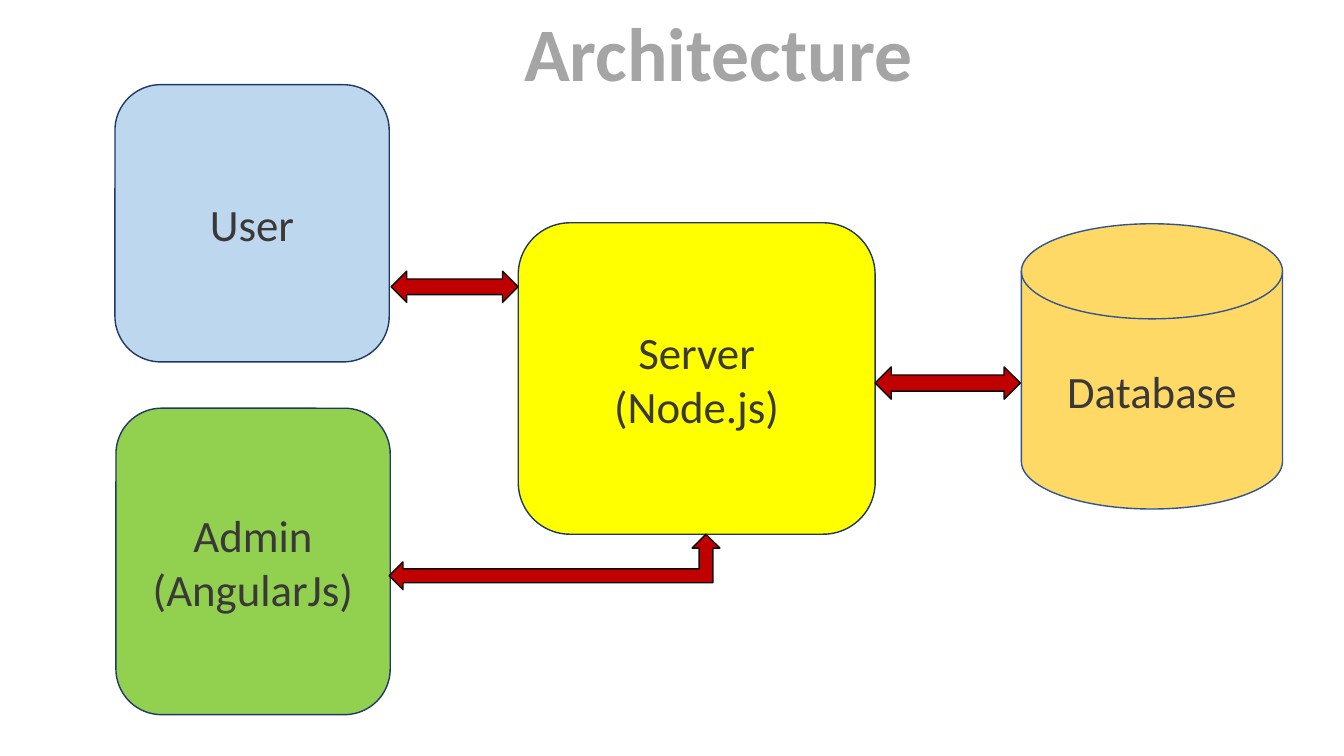
import pptx
import pptx.dml.color
import pptx.enum.shapes
import pptx.enum.text
import pptx.util

Inches = pptx.util.Inches
SHAPES = pptx.enum.shapes.MSO_SHAPE

COLORS = {
    "title": "A5A5A5",
    "text": "3B3838",
    "user": "BDD7EE",
    "admin": "92D050",
    "server": "FFFF00",
    "database": "FFD966",
    "box line": "203864",
    "database line": "325491",
    "arrow": "C00000",
    "arrow line": "0D0D0D",
}


def add_filled_shape(kind, bounds, fill, line):
    shape = slide.shapes.add_shape(kind, *map(Inches, bounds))
    shape.shadow.inherit = False
    shape.fill.solid()
    shape.fill.fore_color.rgb = pptx.dml.color.RGBColor.from_string(COLORS[fill])
    shape.line.color.rgb = pptx.dml.color.RGBColor.from_string(COLORS[line])
    shape.line.width = pptx.util.Pt(1)
    return shape


def write_centered(shape, text, size, color, bold=False):
    text_frame = shape.text_frame
    text_frame.text = text
    text_frame.vertical_anchor = pptx.enum.text.MSO_ANCHOR.MIDDLE
    for paragraph in text_frame.paragraphs:
        paragraph.alignment = pptx.enum.text.PP_ALIGN.CENTER
        for run in paragraph.runs:
            run.font.name = "Calibri"
            run.font.size = pptx.util.Pt(size)
            run.font.bold = bold
            run.font.color.rgb = pptx.dml.color.RGBColor.from_string(COLORS[color])


presentation = pptx.Presentation()
presentation.slide_width = Inches(13.33)
presentation.slide_height = Inches(7.5)
slide = presentation.slides.add_slide(presentation.slide_layouts[5])

# Title
title = slide.shapes.title
title.left, title.top, title.width, title.height = map(Inches, (5.08, 0, 4.09, 1.01))
write_centered(title, "Architecture", 54, "title", bold=True)
title.text_frame.word_wrap = False
title.text_frame.auto_size = pptx.enum.text.MSO_AUTO_SIZE.NONE

# Components
components = [
    ("Admin\n(AngularJs)", SHAPES.ROUNDED_RECTANGLE, (1.15, 4.05, 2.72, 3.04), "admin", "box line"),
    ("User", SHAPES.ROUNDED_RECTANGLE, (1.14, 0.84, 2.72, 2.75), "user", "box line"),
    ("Server\n(Node.js)", SHAPES.ROUNDED_RECTANGLE, (5.14, 2.21, 3.54, 3.09), "server", "box line"),
    ("Database", SHAPES.FLOWCHART_MAGNETIC_DISK, (10.13, 2.22, 2.59, 2.83), "database", "database line"),
]
for label, kind, bounds, fill, line in components:
    component = add_filled_shape(kind, bounds, fill, line)
    write_centered(component, label, 32, "text")

# Arrows: server to database, admin to server, user to server
arrows = [
    (SHAPES.LEFT_RIGHT_ARROW, (8.68, 3.64, 1.44, 0.32)),
    (SHAPES.LEFT_UP_ARROW, (3.86, 5.3, 3.28, 0.55)),
    (SHAPES.LEFT_RIGHT_ARROW, (3.88, 2.69, 1.26, 0.31)),
]
for kind, bounds in arrows:
    add_filled_shape(kind, bounds, "arrow", "arrow line")

presentation.save("out.pptx")
